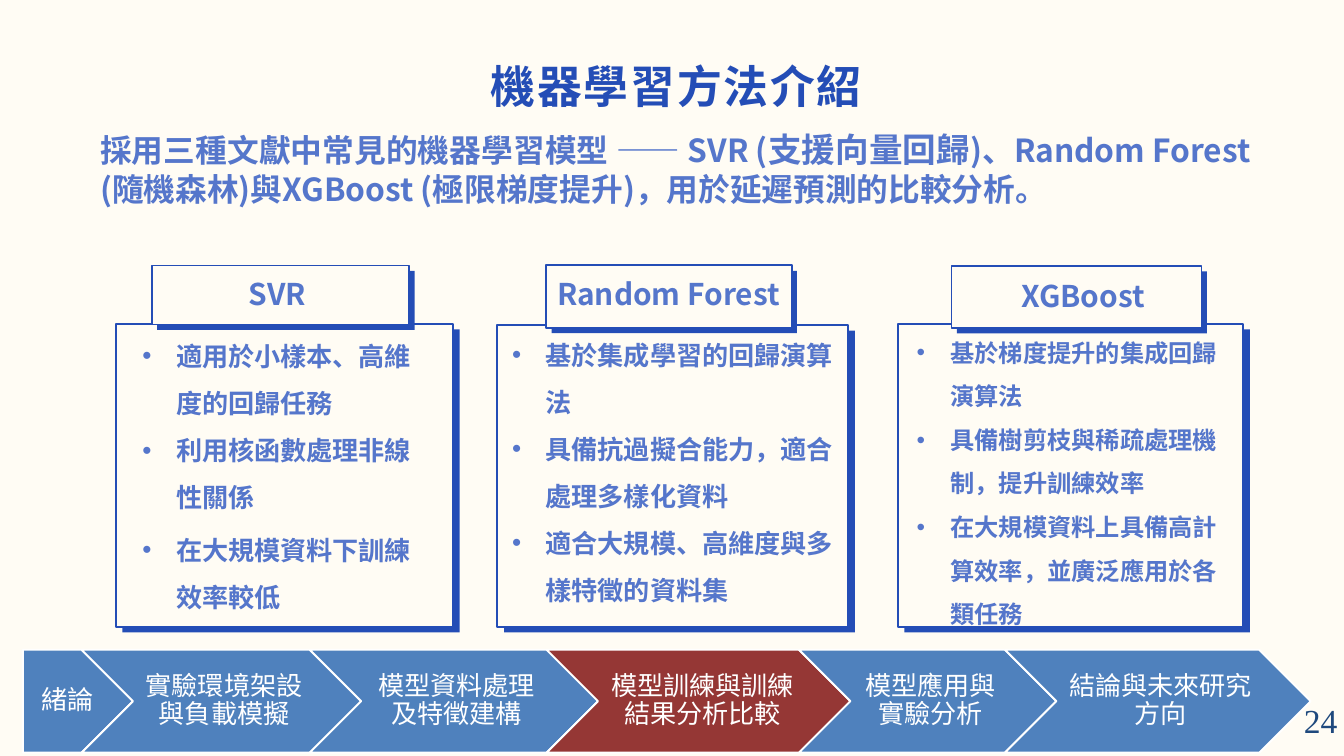
from dataclasses import dataclass
from lxml.etree import SubElement
from pptx import Presentation
from pptx.dml.color import RGBColor as RGB
from pptx.enum.shapes import MSO_SHAPE as Shape
from pptx.enum.text import MSO_ANCHOR as Anchor, PP_ALIGN as Align
from pptx.oxml.ns import qn
from pptx.util import Inches, Pt


@dataclass(frozen=True)
class Theme:
    paper: RGB = RGB.from_string("FFFCF4")
    navy: RGB = RGB.from_string("244DB6")
    body: RGB = RGB.from_string("5576CB")
    step: RGB = RGB.from_string("4F81BD")
    current: RGB = RGB.from_string("953735")
    white: RGB = RGB.from_string("FFFFFF")
    page: RGB = RGB.from_string("1F497D")
    font: str = "Noto Sans CJK SC"
    page_font: str = "Times New Roman"
    title_size: int = 48
    lead_size: int = 34
    lead_accent: int = 36
    tag_size: int = 32
    step_size: int = 28
    page_size: int = 36


theme = Theme()
prs = Presentation()
prs.slide_width, prs.slide_height = Inches(20), Inches(11.25)
CELL = prs.slide_width // 200  # square grid: 200 columns by 112.5 rows
slide = prs.slides.add_slide(prs.slide_layouts[6])
slide.background.fill.solid()
slide.background.fill.fore_color.rgb = theme.paper


def block(kind, area, fill, line=None):
    """Add a filled shape; area is left, top, width, height in grid cells."""
    shape = slide.shapes.add_shape(kind, *[round(n * CELL) for n in area])
    shape.shadow.inherit = False
    shape.fill.solid()
    shape.fill.fore_color.rgb = fill
    if line is None:
        shape.line.fill.background()
    else:
        shape.line.color.rgb = line
        shape.line.width = Pt(2)
    return shape


def write(holder, paragraphs, size, color, align=None, bold=True, spacing=None,
          bullet=False, font=theme.font, margins=(0, 0, 0, 0)):
    """Fill a shape, or a new text box when holder is an area in grid cells."""
    if isinstance(holder, tuple):
        holder = slide.shapes.add_textbox(*[round(n * CELL) for n in holder])
    frame = holder.text_frame
    frame.word_wrap = True
    (frame.margin_left, frame.margin_top,
     frame.margin_right, frame.margin_bottom) = [round(n * CELL) for n in margins]
    for index, text in enumerate(paragraphs):
        para = frame.add_paragraph() if index else frame.paragraphs[0]
        para.alignment = align
        para.line_spacing = spacing
        props = para._p.get_or_add_pPr()
        if bullet:
            props.set("marL", str(5 * CELL))
            props.set("indent", str(-5 * CELL))
            SubElement(props, qn("a:buFont"), typeface="Arial")
            SubElement(props, qn("a:buChar"), char="•")
        para.font.size = Pt(size)
        para.font.bold = bold
        para.font.color.rgb = color
        para.font.name = font
        SubElement(props.find(qn("a:defRPr")), qn("a:ea"), typeface=font)
        para.add_run().text = text
    return frame


# Heading and lead paragraph
title = write((47.2, 10.8, 106.9, 6.1), ["機器學習方法介紹"], theme.title_size,
              theme.navy, Align.CENTER, spacing=Pt(42.4))
title.paragraphs[0]._p.pPr.find(qn("a:defRPr")).set("spc", "190")

lead = write((14.9, 19.2, 171.2, 11.8), ["採用三種文獻中常見的機器學習模型 —— SVR ("],
             theme.lead_size, theme.body, Align.JUSTIFY).paragraphs[0]
accent = lead.add_run()
accent.text = "支援向量回歸"
accent.font.size = Pt(theme.lead_accent)
lead.add_run().text = ")、Random Forest (隨機森林)與XGBoost (極限梯度提升)，用於延遲預測的比較分析。"

# Model cards: name, card area, tag area, name area, list area, list size, points
models = [
    ("SVR", (17.2, 48.2, 50.2, 45.1), (22.6, 39.5, 38.3, 8.8),
     (23, 41.6, 36.6, 4.8), (21.2, 48.3, 42.2, 49.5), 28,
     ["適用於小樣本、高維度的回歸任務", "利用核函數處理非線性關係",
      "在大規模資料下訓練效率較低"]),
    ("Random Forest", (74, 48.4, 52.2, 44.9), (81.3, 39.5, 36.5, 9.3),
     (81.7, 41.6, 35.6, 4.8), (76.2, 48.1, 49.1, 41.5), 28,
     ["基於集成學習的回歸演算法", "具備抗過擬合能力，適合處理多樣化資料",
      "適合大規模、高維度與多樣特徵的資料集"]),
    ("XGBoost", (133.6, 48.2, 51.4, 45.1), (141.6, 39.6, 37.2, 9.2),
     (143.2, 41.9, 35.9, 4.8), (136.4, 48.1, 48.2, 45.1), 26,
     ["基於梯度提升的集成回歸演算法", "具備樹剪枝與稀疏處理機制，提升訓練效率",
      "在大規模資料上具備高計算效率，並廣泛應用於各類任務"]),
]
for name, card, tag, name_area, list_area, list_size, points in models:
    for (left, top, width, height), shift in ((card, 1), (tag, 0.8)):
        block(Shape.RECTANGLE, (left + shift, top + 0.8, width, height), theme.navy)
        block(Shape.RECTANGLE, (left, top, width, height), theme.paper, theme.navy)
    write(name_area, [name], theme.tag_size, theme.body, Align.CENTER,
          spacing=Pt(33.9))
    features = write(list_area, points, list_size, theme.body, spacing=1.5,
                     bullet=True)
    if name == "SVR":
        for feature in features.paragraphs[1:]:
            feature.space_after = Pt(6)

# Progress bar: each step tucks into the point of the one before
steps = [("緒論", 16.4), ("實驗環境架設與負載模擬", 41.6),
         ("模型資料處理及特徵建構", 42.9), ("模型訓練與訓練結果分析比較", 45.2),
         ("模型應用與實驗分析", 38.3), ("結論與未來研究方向", 45.5)]
CURRENT_STEP = 3
BAR_TOP, BAR_HEIGHT = 96.7, 15.3
left = 3.4
for index, (label, width) in enumerate(steps):
    active = index == CURRENT_STEP
    step = block(Shape.CHEVRON if index else Shape.PENTAGON,
                 (left, BAR_TOP, width, BAR_HEIGHT),
                 theme.current if active else theme.step, theme.white)
    frame = write(step, [label], theme.step_size, theme.white, Align.CENTER,
                  bold=False, spacing=0.9,
                  margins=(1.6 if active else 1.2, 0.8, 0.4, 0.8))
    frame.vertical_anchor = Anchor.MIDDLE
    left += width - BAR_HEIGHT / 2

page = write((176.7, 105.2, 23.3, 4), ["24"], theme.page_size, theme.page,
             Align.RIGHT, bold=False, font=theme.page_font,
             margins=(1, 0.5, 1, 0.5))
page.vertical_anchor = Anchor.MIDDLE

prs.save("out.pptx")
